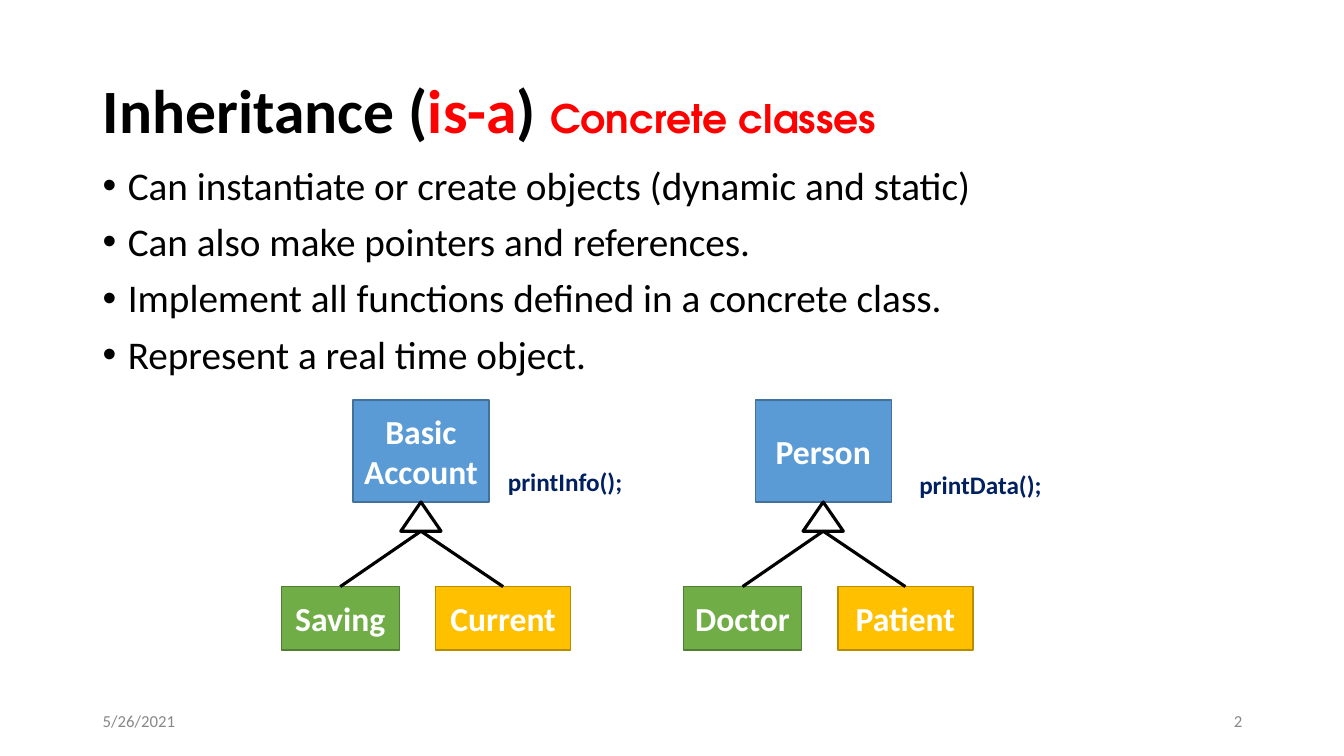
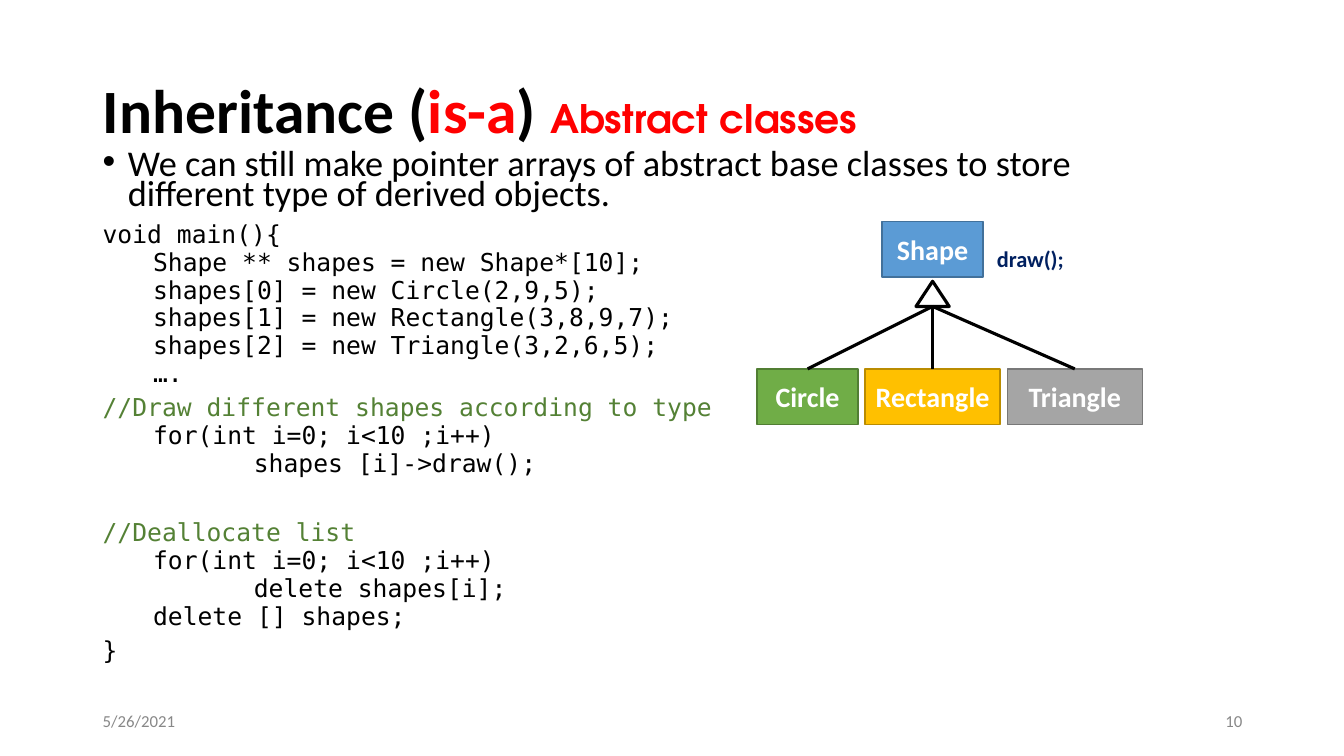
from lxml import etree
from pptx import Presentation
from pptx import util as u
from pptx.dml.color import RGBColor
from pptx.enum import shapes as sh
from pptx.enum import text as tx
from pptx.oxml.ns import qn

SANS, MONO, HEAD = "Calibri", "DejaVu Sans Mono", "TeX Gyre Adventor"
BLACK, WHITE, RED, GREY = "000000", "FFFFFF", "FF0000", "888888"
NAVY, LEAF = "002060", "548135"
ROOT = ("5B9BD5", "42719B")
KIDS = [("70AD47", "517E33"), ("FFC000", "BA8C00"), ("A5A5A5", "787878")]
LEFT, MID, RIGHT = tx.PP_ALIGN.LEFT, tx.PP_ALIGN.CENTER, tx.PP_ALIGN.RIGHT
INDENT = [0, 50, 150]

TRAITS = [
    "Can instantiate or create objects (dynamic and static)",
    "Can also make pointers and references.",
    "Implement all functions defined in a concrete class.",
    "Represent a real time object.",
]
INTRO = ("We can still make pointer arrays of abstract base classes to store "
         "different type of derived objects.")
# Each line of code: indent level, text, and space before if it is special
CODE = [
    (0, "void main(){"),
    (1, "Shape ** shapes = new Shape*[10];"),
    (1, "shapes[0] = new Circle(2,9,5);"),
    (1, "shapes[1] = new Rectangle(3,8,9,7);"),
    (1, "shapes[2] = new Triangle(3,2,6,5);"),
    (1, "…."),
    (0, "//Draw different shapes according to type"),
    (1, "for(int i=0; i<10 ;i++)"),
    (2, "shapes [i]->draw();"),
    (0, "//Deallocate list", 35),
    (1, "for(int i=0; i<10 ;i++)"),
    (2, "delete shapes[i];"),
    (1, "delete [] shapes;"),
    (0, "}"),
]


def px(n):
    """Turn px, 100 to the inch, into EMU."""
    return u.Emu(round(n * 9144))


def rgb(code):
    return RGBColor.from_string(code)


def put(item, **vals):
    for name, val in vals.items():
        setattr(item, name, val)


def style(font, size, color, face=SANS, bold=False):
    put(font, size=u.Pt(size), name=face, bold=bold)
    font.color.rgb = rgb(color)


def frame(shape, anchor=tx.MSO_ANCHOR.MIDDLE):
    body = shape.text_frame
    put(body, word_wrap=True, auto_size=tx.MSO_AUTO_SIZE.NONE,
        vertical_anchor=anchor, margin_left=px(10), margin_right=px(10),
        margin_top=px(5), margin_bottom=px(5))
    return body


def label(shapes, box, words, size, color, align=MID, bold=False):
    par = frame(shapes.add_textbox(*map(px, box))).paragraphs[0]
    put(par, text=words, alignment=align)
    style(par.font, size, color, bold=bold)


def block(shapes, kind, box, fill, edge, width=1):
    shape = shapes.add_shape(kind, *map(px, box))
    shape.shadow.inherit = False
    shape.fill.solid()
    shape.fill.fore_color.rgb = rgb(fill)
    shape.line.color.rgb = rgb(edge)
    shape.line.width = u.Pt(width)
    return shape


def node(shapes, box, words, size, tint):
    shape = block(shapes, sh.MSO_SHAPE.RECTANGLE, box, *tint)
    par = frame(shape).paragraphs[0]
    put(par, text=words, alignment=MID)
    style(par.font, size, WHITE, bold=True)
    return shape


def link(shapes, x, y, kid):
    """Join a point in px to the top of a node."""
    line = shapes.add_connector(sh.MSO_CONNECTOR.STRAIGHT, px(x), px(y),
                                kid.left + kid.width // 2, kid.top)
    line.end_connect(kid, 0)
    line.line.color.rgb = rgb(BLACK)
    line.line.width = u.Pt(2.25)
    props = line._element.spPr
    etree.SubElement(props, qn("a:effectLst"))


def tree(slide, box, root, kids, call, gap, tip, size):
    """Draw a class tree; root and tip (arrow) are offset from the box."""
    shapes = slide.shapes.add_group_shape().shapes
    left, top, _, high = box
    name, dx, wide, tall = root
    drop, base, rise = tip
    mid = left + dx + wide / 2
    node(shapes, (left + dx, top, wide, tall), name, size, ROOT)
    block(shapes, sh.MSO_SHAPE.ISOSCELES_TRIANGLE,
          (mid - base / 2, top + drop, base, rise), WHITE, BLACK, 2.25)
    x = left
    for (word, span, deep), tint in zip(kids, KIDS):
        kid = node(shapes, (x, top + high - deep, span, deep), word, size, tint)
        link(shapes, mid, top + drop + rise, kid)
        x += span + gap
    words, cx, cy, cw, ch, points = call
    label(shapes, (left + cx, top + cy, cw, ch), words, points, NAVY, bold=True)


def page(deck, topic, number):
    """Add a slide with its title, date and number."""
    slide = deck.slides.add_slide(deck.slide_layouts[5])
    head = slide.shapes.title
    put(head, left=px(92), top=px(40), width=px(1150), height=px(145))
    par = frame(head).paragraphs[0]
    put(par, alignment=LEFT, line_spacing=0.9)
    for words, size, color, face in [
            ("Inheritance (", 44, BLACK, SANS), ("is-a", 44, RED, SANS),
            (") ", 44, BLACK, SANS), (topic, 28, RED, HEAD)]:
        run = par.add_run()
        run.text = words
        style(run.font, size, color, face, True)
    label(slide.shapes, (92, 695, 300, 40), "5/26/2021", 12, GREY, LEFT)
    label(slide.shapes, (942, 695, 300, 40), number, 12, GREY, RIGHT)
    return slide


def prose(slide, box):
    shape = slide.shapes.add_textbox(*map(px, box))
    return frame(shape, tx.MSO_ANCHOR.TOP)


def line(body, words, gap, lead, margin=0, bullet=False):
    """Fill the empty first paragraph, or add one below."""
    first = not body.paragraphs[0].runs
    par = body.paragraphs[0] if first else body.add_paragraph()
    props = par._p.get_or_add_pPr()
    props.set("marL", str(px(margin)))
    props.set("indent", str(px(-margin if bullet else 0)))
    if bullet:
        etree.SubElement(props, qn("a:buFont")).set("typeface", "Arial")
        etree.SubElement(props, qn("a:buChar")).set("char", "•")
    put(par, text=words, line_spacing=lead, space_before=u.Pt(0 if first else gap))
    return par.font


def concrete(deck):
    slide = page(deck, "Concrete classes", "2")
    body = prose(slide, (92, 160, 1150, 476))
    for trait in TRAITS:
        style(line(body, trait, 10, 0.9, 25, True), 28, BLACK)
    for x, root, names, call in [
            (678, "Person", ("Doctor", "Patient"), ("printData();", 218, 65)),
            (279, "Basic Account", ("Saving", "Current"), ("printInfo();", 205, 62))]:
        kids = [(name, wide, 63) for name, wide in zip(names, (117, 134))]
        tree(slide, (x, 397, 287, 248), (root, 71, 135, 101), kids,
             (*call, 153, 37, 18), 36, (101, 40, 29), 24)


def abstract(deck):
    slide = page(deck, "Abstract classes", "10")
    body = prose(slide, (92, 146, 1087, 549))
    style(line(body, INTRO, 0, 0.7, 25, True), 25.9, BLACK)
    for level, words, *gap in CODE:
        font = line(body, words, gap[0] if gap else 5 if level else 10,
                    0.7, INDENT[level])
        style(font, 17.6, LEAF if words.startswith("//") else BLACK, MONO)
    kids = [("Circle", 100, 55), ("Rectangle", 134, 55), ("Triangle", 134, 55)]
    tree(slide, (751, 220, 382, 201), ("Shape", 124, 100, 55), kids,
         ("draw();", 227, 21, 88, 32, 16), 7, (59, 33, 25), 20)


def main():
    deck = Presentation()
    put(deck, slide_width=px(1333), slide_height=px(750))
    concrete(deck)
    abstract(deck)
    deck.save("out.pptx")


if __name__ == "__main__":
    main()
